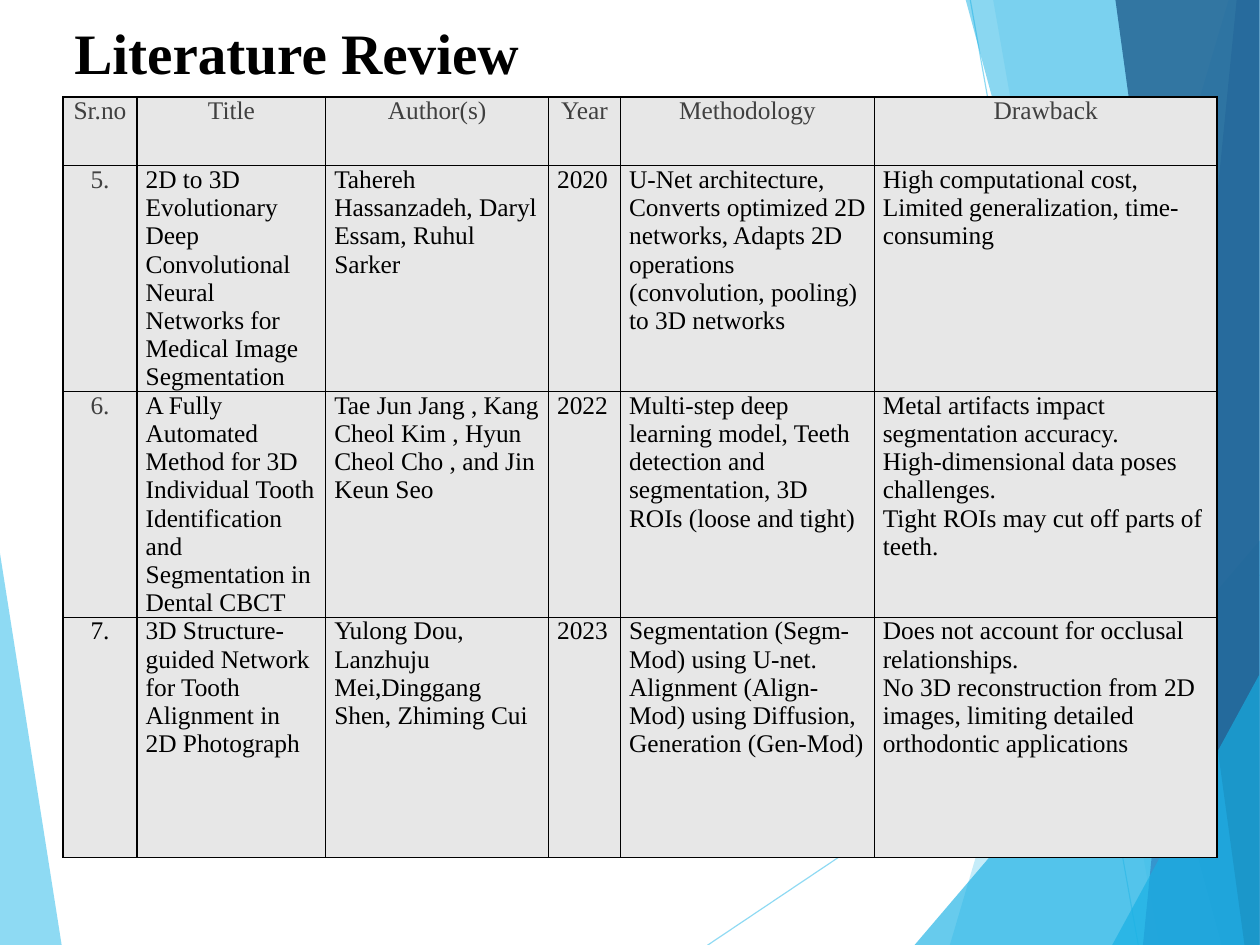
"""Build the literature review slide with its table and angled side panels."""
from lxml import etree
from pptx import Presentation
from pptx.dml.color import RGBColor
from pptx.enum.shapes import MSO_CONNECTOR
from pptx.enum.text import MSO_ANCHOR, MSO_AUTO_SIZE, PP_ALIGN
from pptx.oxml.ns import qn
from pptx.util import Emu, Inches, Pt

STRAIGHT = MSO_CONNECTOR.STRAIGHT
TOP = MSO_ANCHOR.TOP
NO_FIT = MSO_AUTO_SIZE.NONE
LEFT, CENTER = PP_ALIGN.LEFT, PP_ALIGN.CENTER
FONT = "Times New Roman"
WIDTH, HEIGHT = 11.02, 8.27
UNITS = 100
SKY, CYAN, BLUE, NAVY = "5FCBEF", "17B0E4", "2E83C3", "236292"
BLACK, GREY, CELL_FILL = "000000", "404040", "E7E7E7"


def color(hex_code):
    return RGBColor.from_string(hex_code)


def set_opacity(shape, percent):
    tint = shape.element.spPr.find(".//" + qn("a:srgbClr"))
    etree.SubElement(tint, qn("a:alpha"), val=str(percent * 1000))


deck = Presentation()
deck.slide_width, deck.slide_height = Emu(10080625), Emu(7559675)
page = deck.slides.add_slide(deck.slide_layouts[5])

panels = [
    (0, 4.84, 0.54, 0, SKY, 70),
    (10.75, 0, 8.31, WIDTH, SKY, 36),
    (8.69, 0, 10.14, WIDTH, SKY, 20),
    (WIDTH, 4.73, 8, WIDTH, CYAN, 65),
    (8.45, 0, 10.69, WIDTH, CYAN, 50),
    (10.82, 0, 10, WIDTH, BLUE, 70),
    (9.76, 0, 10.89, WIDTH, NAVY, 82),
    (WIDTH, 5.9, 9.73, WIDTH, CYAN, 65),
]
for top_x, top_y, bottom_x, edge, fill, opacity in panels:
    corners = [(top_x, top_y), (bottom_x, HEIGHT), (edge, HEIGHT), (edge, top_y)]
    points = [(round(x * UNITS), round(y * UNITS)) for x, y in corners]
    outline = page.shapes.build_freeform(*points[0], scale=Inches(1) / UNITS)
    outline.add_line_segments(points[1:], close=True)
    panel = outline.convert_to_shape()
    panel.shadow.inherit = False
    panel.fill.solid()
    panel.fill.fore_color.rgb = color(fill)
    set_opacity(panel, opacity)
    panel.line.fill.background()
    if edge == 0:
        for ends in [(6.19, HEIGHT, WIDTH, 5.03), (8.49, 0, 9.96, HEIGHT)]:
            ray = page.shapes.add_connector(STRAIGHT, *map(Inches, ends))
            ray.line.color.rgb = color(SKY)
            ray.line.width = Pt(0.75)
            set_opacity(ray, 70)
            etree.SubElement(ray.element.spPr, qn("a:effectLst"))

title = page.shapes.title
title.element.getparent().append(title.element)
title_place = {"left": 0.55, "top": 0.1, "width": 9.92, "height": 0.64}
for name, value in title_place.items():
    setattr(title, name, Inches(value))
frame = title.text_frame
frame.text = "Literature Review"
frame.auto_size, frame.vertical_anchor, frame.word_wrap = NO_FIT, TOP, True
heading = frame.paragraphs[0]
heading.alignment = LEFT
for name, value in {"name": FONT, "size": Pt(36), "bold": True}.items():
    setattr(heading.runs[0].font, name, value)
heading.runs[0].font.color.rgb = color(BLACK)

columns = [0.65, 1.65, 1.95, 0.63, 2.22, 3]
rows = [0.6, 1.97, 1.97, 2.1]
entries = [
    ["Sr.no", "Title", "Author(s)", "Year", "Methodology", "Drawback"],
    ["5.",
     "2D to 3D Evolutionary Deep Convolutional Neural Networks for Medical Image Segmentation",
     "Tahereh Hassanzadeh, Daryl Essam, Ruhul Sarker",
     "2020",
     "U-Net architecture, Converts optimized 2D networks, Adapts 2D operations "
     "(convolution, pooling) to 3D networks",
     "High computational cost, Limited generalization, time-consuming"],
    ["6.",
     "A Fully Automated Method for 3D Individual Tooth Identification and "
     "Segmentation in Dental CBCT",
     "Tae Jun Jang , Kang Cheol Kim , Hyun Cheol Cho , and Jin Keun Seo",
     "2022",
     "Multi-step deep learning model, Teeth detection and segmentation, 3D ROIs "
     "(loose and tight)",
     "Metal artifacts impact segmentation accuracy.\n"
     "High-dimensional data poses challenges.\n"
     "Tight ROIs may cut off parts of teeth."],
    ["7.",
     "3D Structure-guided Network for Tooth Alignment in 2D Photograph",
     "Yulong Dou, Lanzhuju Mei,Dinggang Shen, Zhiming Cui",
     "2023",
     "Segmentation (Segm-Mod) using U-net.\n"
     "Alignment (Align-Mod) using Diffusion, Generation (Gen-Mod)",
     "Does not account for occlusal relationships.\n"
     "No 3D reconstruction from 2D images, limiting detailed orthodontic applications"],
]
table_place = (0.55, 0.85, sum(columns), sum(rows))
table = page.shapes.add_table(
    len(rows), len(columns), *map(Inches, table_place)).table
table.first_row = table.horz_banding = False
for column, width in zip(table.columns, columns):
    column.width = Inches(width)
for row, height in zip(table.rows, rows):
    row.height = Inches(height)

margins = {"margin_left": 5.4, "margin_right": 5.4, "margin_top": 0, "margin_bottom": 0}
for row_index, entry in enumerate(entries):
    for column_index, words in enumerate(entry):
        cell = table.cell(row_index, column_index)
        cell.text = words
        for name, value in margins.items():
            setattr(cell, name, Pt(value))
        properties = cell._tc.get_or_add_tcPr()
        for side in ("lnL", "lnR", "lnT", "lnB"):
            border = etree.SubElement(properties, qn("a:" + side), w=str(Pt(1)))
            paint = etree.SubElement(border, qn("a:solidFill"))
            etree.SubElement(paint, qn("a:srgbClr"), val=BLACK)
        cell.fill.solid()
        cell.fill.fore_color.rgb = color(CELL_FILL)
        centered = row_index == 0 or column_index == 0
        ink = GREY if centered and words != "7." else BLACK
        for para in cell.text_frame.paragraphs:
            para.alignment = CENTER if centered else LEFT
            span = para.runs[0]
            span.font.name, span.font.size = FONT, Pt(16)
            span.font.color.rgb = color(ink)

deck.save("out.pptx")
